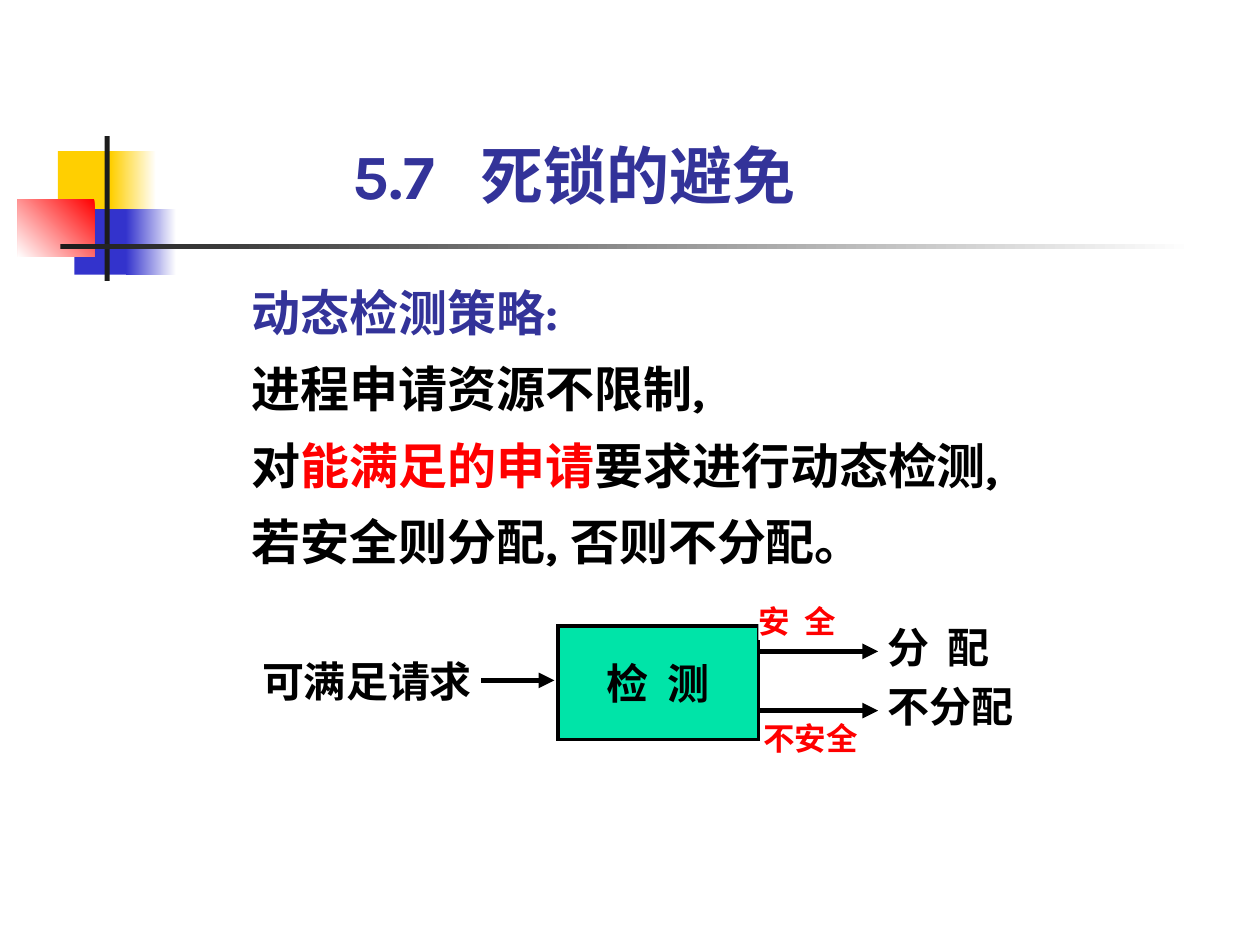
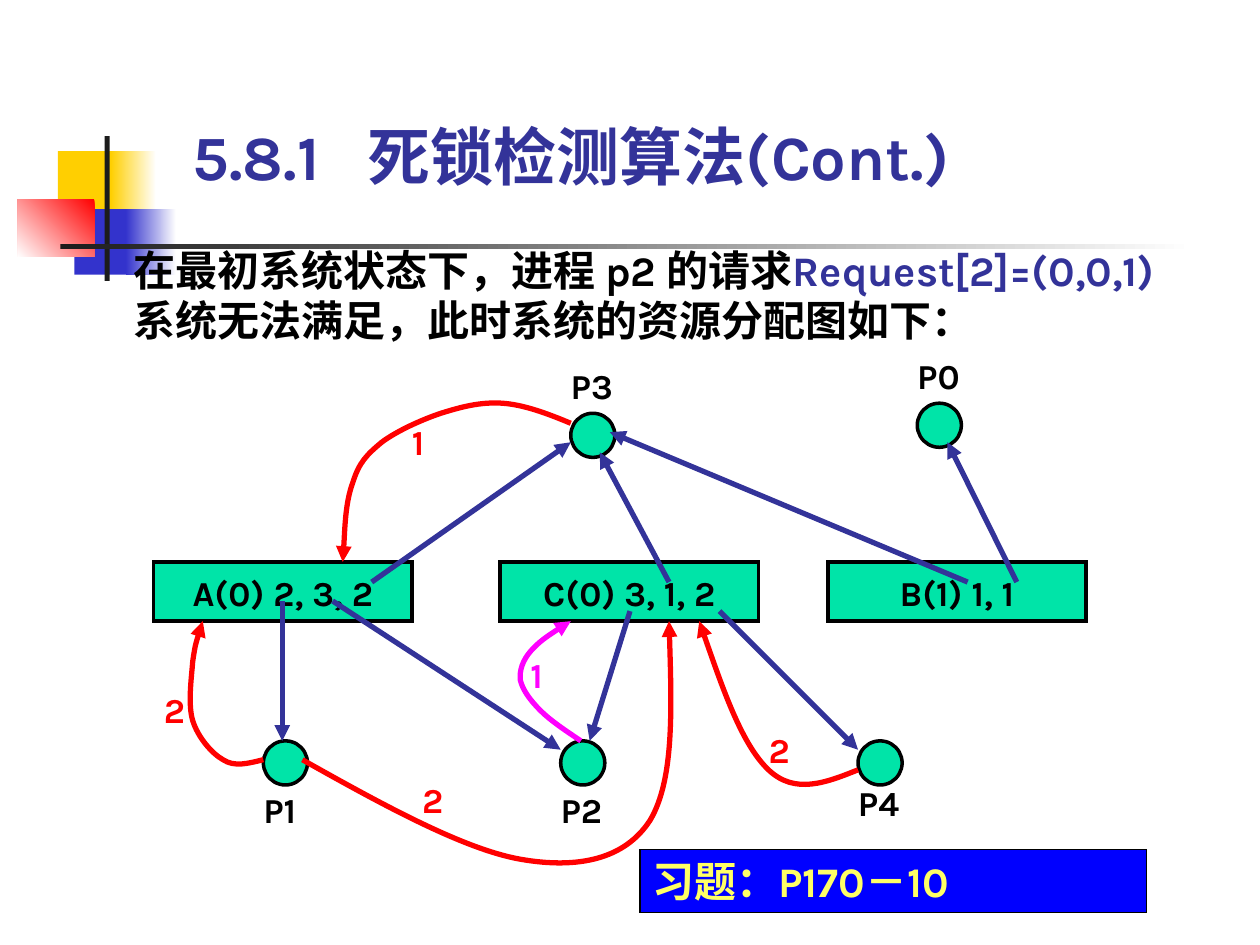
import pptx
import pptx.dml.color
import pptx.enum.shapes
import pptx.enum.text
import pptx.oxml
import pptx.oxml.ns
import pptx.util
from lxml import etree

Inches = pptx.util.Inches
Pt = pptx.util.Pt
qn = pptx.oxml.ns.qn
SHAPE = pptx.enum.shapes.MSO_SHAPE
ALIGN = pptx.enum.text.PP_ALIGN
ANCHOR = pptx.enum.text.MSO_ANCHOR

# Shared look
NAVY, BLACK, WHITE, RED = "333399", "000000", "FFFFFF", "FF0000"
GREEN, MAGENTA, YELLOW, BLUE = "00E4A8", "FF00FF", "FFFF66", "0000FF"
GOLD, INDIGO, CHARCOAL = "FFCF01", "3333CC", "1C1C1C"
KARLA, NOTO, TIMES = "Karla", "Noto Sans CJK SC", "Times New Roman"


def rgb(colour):
    return pptx.dml.color.RGBColor.from_string(colour)


def write_text(frame, lines, size, colour=BLACK, font=KARLA, align=ALIGN.LEFT,
               spacing=None, insets=(0, 0, 0, 0), anchor=ANCHOR.TOP, tab=None):
    """Each line is a list of (text, colour) runs or one string."""
    frame.word_wrap = True
    frame.auto_size = pptx.enum.text.MSO_AUTO_SIZE.NONE
    frame.vertical_anchor = anchor
    (frame.margin_left, frame.margin_top,
     frame.margin_right, frame.margin_bottom) = map(Inches, insets)
    for number, line in enumerate(lines):
        paragraph = frame.add_paragraph() if number else frame.paragraphs[0]
        properties = paragraph._p.get_or_add_pPr()
        paragraph.alignment = align
        if spacing:
            paragraph.line_spacing = spacing
        if tab:
            tabs = etree.SubElement(properties, qn("a:tabLst"))
            etree.SubElement(tabs, qn("a:tab"), pos=str(Inches(tab)), algn="l")
        paragraph.font.size = Pt(size)
        paragraph.font.bold = True
        paragraph.font.name = font
        etree.SubElement(properties.find(qn("a:defRPr")), qn("a:ea"), typeface=NOTO)
        if isinstance(line, str):
            paragraph.add_run().text = line
            paragraph.font.color.rgb = rgb(colour)
        else:
            for text, run_colour in line:
                run = paragraph.add_run()
                run.text = text
                run.font.color.rgb = rgb(run_colour)


def add_box(slide, left, top, width, height, fill, line=None, line_width=2,
            kind=SHAPE.RECTANGLE):
    box = slide.shapes.add_shape(
        kind, Inches(left), Inches(top), Inches(width), Inches(height))
    box.shadow.inherit = False
    box.fill.solid()
    box.fill.fore_color.rgb = rgb(fill)
    if line:
        box.line.color.rgb = rgb(line)
        box.line.width = Pt(line_width)
        outline = box._element.spPr.find(qn("a:ln"))
        etree.SubElement(outline, qn("a:miter"), lim="800000")
    else:
        box.line.fill.background()
    return box


def add_label(slide, left, top, width, height, lines, size, colour=BLACK, **style):
    label = slide.shapes.add_textbox(
        Inches(left), Inches(top), Inches(width), Inches(height))
    write_text(label.text_frame, lines, size, colour, **style)


def fade(box, start, end, angle):
    box.fill.gradient()
    box.fill.gradient_angle = angle
    for stop, colour in zip(box.fill.gradient_stops, (start, end)):
        stop.color.rgb = rgb(colour)


def style_arrow(arrow, colour):
    arrow.line.color.rgb = rgb(colour)
    arrow.line.width = Pt(3)
    outline = arrow._element.spPr.find(qn("a:ln"))
    etree.SubElement(outline, qn("a:tailEnd"), type="triangle")


def add_arrow(slide, x1, y1, x2, y2, colour):
    arrow = slide.shapes.add_connector(
        pptx.enum.shapes.MSO_CONNECTOR.STRAIGHT,
        Inches(x1), Inches(y1), Inches(x2), Inches(y2))
    style_arrow(arrow, colour)
    etree.SubElement(arrow._element.spPr, qn("a:effectLst"))
    return arrow


def add_curve(slide, knots, colour):
    """A chain of cubic curves: the start, then three knots for each curve."""
    points = [(Inches(x), Inches(y)) for x, y in knots]
    builder = slide.shapes.build_freeform(*points[0])
    builder.add_line_segments(points[1:], close=False)
    curve = builder.convert_to_shape()
    # Gather each three straight segments into one cubic curve
    segments = list(curve._element.spPr.iter(qn("a:lnTo")))
    for first in range(0, len(segments), 3):
        cubic = etree.Element(qn("a:cubicBezTo"))
        segments[first].addprevious(cubic)
        for segment in segments[first:first + 3]:
            cubic.append(segment[0])
            segment.getparent().remove(segment)
    curve.shadow.inherit = False
    curve.fill.background()
    style_arrow(curve, colour)


def add_ornament(slide, x, y):
    """Coloured squares crossed by two thin bars."""
    for left, top, width, height, colour, end, angle in (
            (0.32, 0.12, 0.48, 0.52, GOLD, None, 0),
            (0.74, 0.12, 0.36, 0.52, GOLD, WHITE, 0),
            (0.45, 0.58, 0.46, 0.52, INDIGO, None, 0),
            (0.86, 0.58, 0.40, 0.52, INDIGO, WHITE, 0),
            (0, 0.50, 0.61, 0.46, RED, WHITE, 225),
            (0.69, 0, 0.04, 1.15, CHARCOAL, None, 0),
            (0.34, 0.86, 9, 0.04, CHARCOAL, WHITE, 0)):
        part = add_box(slide, x + left, y + top, width, height, colour)
        if end:
            fade(part, colour, end, angle)


def new_slide(deck, title, left, top, width, tab):
    slide = deck.slides.add_slide(deck.slide_layouts[5])
    heading = slide.shapes.title
    heading.left, heading.top = Inches(left), Inches(top)
    heading.width, heading.height = Inches(width), Inches(0.6)
    write_text(heading.text_frame, [title], 36, NAVY, anchor=ANCHOR.BOTTOM, tab=tab)
    add_ornament(slide, 0.14, 1.08)
    return slide


def widen(box, points):
    """Spread the letters of a box's text."""
    for run in box.text_frame.paragraphs[0].runs:
        run._r.get_or_add_rPr().set("spc", str(int(points * 100)))


def add_detection_flow(slide, x, y):
    def outcome(left, top, width, height, text, size, colour, indent=0, font=TIMES):
        box = add_box(slide, x + left, y + top, width, height, WHITE)
        write_text(box.text_frame, [text], size, colour, font,
                   insets=(indent, 0, 0, 0))
        return box

    request = outcome(0.08, 0.70, 1.74, 0.4, "可满足请求", 24, BLACK)
    request_arrow = add_arrow(slide, x + 1.82, y + 0.9, x + 2.4, y + 0.9, BLACK)
    request_arrow.begin_connect(request, 3)

    # Results to the right of the check
    allocate = outcome(4.97, 0.43, 1.34, 0.4, "分 配", 24, BLACK, 0.07, NOTO)
    outcome(4.97, 0.90, 1.18, 0.4, "不分配", 24, BLACK, 0.07)
    outcome(4.06, 1.21, 0.83, 0.3, "不安全", 18, RED)
    check = add_box(slide, x + 2.43, y + 0.47, 1.59, 0.9, GREEN, BLACK)
    write_text(check.text_frame, ["检 测"], 24, font=NOTO, align=ALIGN.CENTER,
               insets=(0.1, 0.25, 0.1, 0.25), anchor=ANCHOR.MIDDLE)
    for level in (0.67, 1.14):
        add_arrow(slide, x + 4.03, y + level, x + 4.97, y + level, BLACK)
    safe = outcome(4.02, 0.28, 0.87, 0.3, "安 全", 18, RED, font=NOTO)
    for box, points in ((allocate, 2.7), (check, 2.7), (safe, 2)):
        widen(box, points)


def add_avoidance_slide(deck):
    slide = new_slide(deck, "5.7\t死锁的避免", 2.8, 1.08, 4.02, 1.01)
    add_label(slide, 2, 2.1, 6.46, 2.43, [
        [("动态检测策略:", NAVY)],
        [("进程申请资源不限制,", BLACK)],
        [("对", BLACK), ("能满足的申请", RED), ("要求进行动态检测,", BLACK)],
        [("若安全则分配, 否则不分配。", BLACK)],
    ], 28, spacing=1.3)
    add_detection_flow(slide, 2, 4.5)


def add_allocation_graph(slide, x, y):
    # Resources
    for left, text in ((0.22, "A(0) 2, 3, 2"), (5.57, "B(1) 1, 1"),
                       (2.97, "C(0) 3, 1, 2")):
        resource = add_box(slide, x + left, y + 1.96, 2.05, 0.47, GREEN, BLACK)
        write_text(resource.text_frame, [text], 20, align=ALIGN.CENTER,
                   insets=(0.08, 0.08, 0.08, 0))

    # Processes, each with its name above or below
    for name, left, top, name_offset in (
            ("P1", 1.09, 3.38, 0.44), ("P4", 5.81, 3.38, 0.39),
            ("P3", 3.53, 0.78, -0.32), ("P0", 6.28, 0.70, -0.32),
            ("P2", 3.45, 3.38, 0.44)):
        add_box(slide, x + left, y + top, 0.35, 0.35, GREEN, BLACK, kind=SHAPE.OVAL)
        add_label(slide, x + left, y + top + name_offset, 0.47, 0.27,
                  [name], 20, spacing=0.8)

    # Allocations: resource to process
    for x1, y1, x2, y2 in (
            (7.07, 2.12, 6.52, 1.01), (1.24, 2.27, 1.24, 3.38),
            (1.64, 2.27, 3.45, 3.45), (4.00, 2.35, 3.68, 3.38),
            (1.95, 2.12, 3.53, 1.01), (6.68, 2.12, 3.84, 0.93),
            (4.31, 2.12, 3.76, 1.09), (4.71, 2.35, 5.81, 3.45)):
        add_arrow(slide, x + x1, y + y1, x + x2, y + y2, NAVY)

    # Requests: process to resource, with count and its place
    requests = (
        ("2", 0.30, 3.03, RED, [
            (1.09, 3.53), (0.97, 3.56), (0.86, 3.59), (0.77, 3.53), (0.68, 3.48),
            (0.57, 3.35), (0.53, 3.22), (0.49, 3.09), (0.52, 2.88), (0.53, 2.75),
            (0.55, 2.61), (0.58, 2.52), (0.61, 2.43)]),
        ("1", 3.21, 2.75, MAGENTA, [
            (3.61, 3.38), (3.49, 3.30), (3.37, 3.22), (3.29, 3.14), (3.21, 3.06),
            (3.15, 2.98), (3.13, 2.90), (3.12, 2.82), (3.15, 2.74), (3.21, 2.67),
            (3.28, 2.59), (3.40, 2.51), (3.53, 2.43)]),
        ("1", 2.27, 0.90, RED, [
            (3.53, 0.86), (3.34, 0.78), (3.15, 0.71), (2.98, 0.70), (2.81, 0.69),
            (2.66, 0.73), (2.50, 0.78), (2.35, 0.83), (2.15, 0.92), (2.03, 1.01),
            (1.91, 1.11), (1.85, 1.17), (1.80, 1.33), (1.74, 1.49), (1.73, 1.85),
            (1.72, 1.96)]),
        ("2", 2.35, 3.74, RED, [
            (1.40, 3.53), (2.04, 3.89), (2.68, 4.24), (3.13, 4.32), (3.59, 4.40),
            (3.96, 4.32), (4.16, 4.01), (4.35, 3.69), (4.33, 3.06), (4.31, 2.43)]),
        ("2", 5.10, 3.35, RED, [
            (5.81, 3.61), (5.56, 3.71), (5.31, 3.81), (5.10, 3.61), (4.89, 3.41),
            (4.72, 2.92), (4.55, 2.43)]),
    )
    for _, _, _, colour, knots in requests:
        add_curve(slide, [(x + kx, y + ky) for kx, ky in knots], colour)
    for count, left, top, colour, _ in requests:
        add_label(slide, x + left, y + top, 0.24, 0.27, [count], 20, colour,
                  spacing=0.8)


def add_detection_slide(deck):
    slide = new_slide(deck, "5.8.1\t死锁检测算法(Cont.)", 1.53, 0.93, 6.62, 1.39)
    add_label(slide, 1.06, 1.94, 8.35, 0.8, [[
        ("在最初系统状态下，进程 p2 的请求", BLACK),
        ("Request[2]=(0,0,1) ", NAVY),
        ("系统无法满足，此时系统的资源分配图如下：", BLACK)]], 24)
    add_allocation_graph(slide, 1, 2.5)
    exercise = add_box(slide, 5.08, 6.74, 4.02, 0.5, BLUE, BLACK, 0.75)
    write_text(exercise.text_frame, ["习题：P170－10"], 24, YELLOW,
               insets=(0.1, 0.05, 0.1, 0.05))


def main():
    deck = pptx.Presentation()
    deck.slide_width, deck.slide_height = Inches(10), Inches(7.5)
    add_avoidance_slide(deck)
    add_detection_slide(deck)
    deck.save("out.pptx")


if __name__ == "__main__":
    main()
